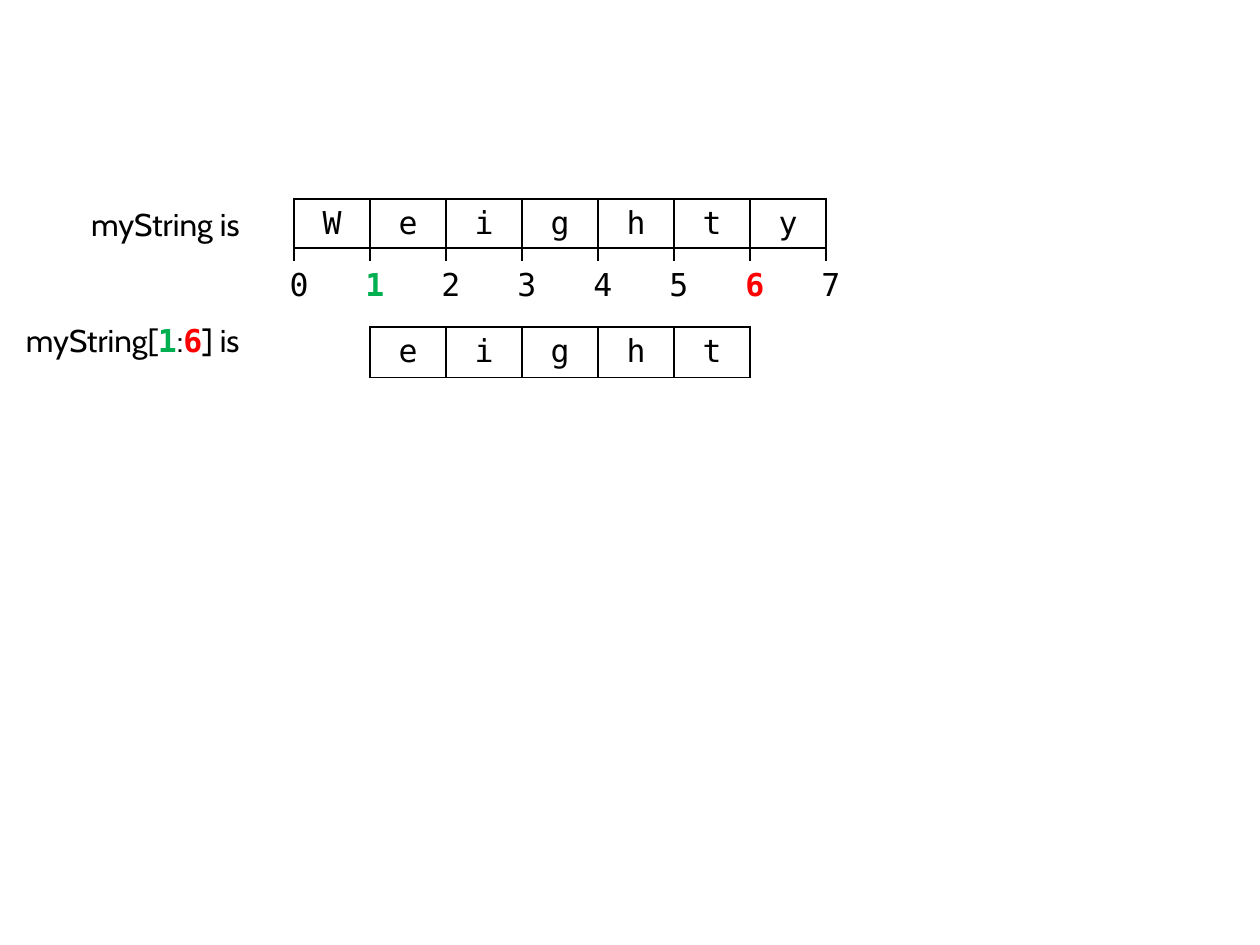
from pptx import Presentation
from pptx.dml.color import RGBColor
from pptx.enum.text import MSO_AUTO_SIZE as AUTO, PP_ALIGN as ALIGN
from pptx.oxml.ns import qn
from pptx.util import Emu, Pt
from lxml.etree import SubElement

SCALE = 914400 // 126
BLACK, GREEN, RED, WHITE = "000000", "00B050", "FF0000", "FFFFFF"
SANS, MONO = "Cabin", "DejaVu Sans Mono"


def px(n):
    """Turn picture pixels into EMU."""
    return Emu(n * SCALE)


def color(value):
    """Turn a hex string into a colour."""
    return RGBColor.from_string(value)


def add_run(p, text, font=SANS, size=18, fill=BLACK, bold=False):
    """Append formatted text to a paragraph."""
    r = p.add_run()
    r.text = text
    r.font.name, r.font.size, r.font.bold = font, Pt(size), bold
    r.font.color.rgb = color(fill)


def set_border(cell, side, shown):
    """Draw or hide one side (L, R, T or B) of a cell."""
    ln = SubElement(cell._tc.get_or_add_tcPr(), qn("a:ln" + side), w=str(Pt(1)))
    if shown:
        solid = SubElement(ln, qn("a:solidFill"))
        SubElement(solid, qn("a:srgbClr"), val=BLACK)
    else:
        SubElement(ln, qn("a:noFill"))


class StringSlide:
    """Holds the slide and the style of its strings."""

    columns, cell_width = 8, 76

    def __init__(self, prs):
        """Start on a blank slide."""
        self.s = prs.slides.add_slide(prs.slide_layouts[6])

    def label(self, x, y, w, h, runs):
        """Add a right-aligned label made of (text, format) runs."""
        tf = self.s.shapes.add_textbox(px(x), px(y), px(w), px(h)).text_frame
        tf.word_wrap, tf.auto_size = True, AUTO.SHAPE_TO_FIT_TEXT
        p = tf.paragraphs[0]
        p.alignment = ALIGN.RIGHT
        for text, fmt in runs:
            add_run(p, text, **fmt)

    def cells(self, x, y, heights, text, first=0, boxed=True, fill=None, marks=None):
        """Add a table with one character a cell, from column first on."""
        last = first + len(text)
        table = self.s.shapes.add_table(
            len(heights), self.columns, px(x), px(y),
            px(self.columns * self.cell_width), px(sum(heights))).table
        table.first_row = table.horz_banding = False
        for column in table.columns:
            column.width = px(self.cell_width)
        for i, height in enumerate(heights):
            table.rows[i].height = px(height)
            for j in range(self.columns):
                cell = table.cell(i, j)
                inside = first <= j < last
                sides = {"L": first <= j <= last, "R": first <= j + 1 <= last,
                         "T": inside, "B": inside}
                for side, shown in sides.items():
                    set_border(cell, side, boxed and shown)
                if fill:
                    cell.fill.solid()
                    cell.fill.fore_color.rgb = color(fill)
                else:
                    cell.fill.background()
                p = cell.text_frame.paragraphs[0]
                p.alignment = ALIGN.CENTER
                if i == 0 and inside:
                    char = text[j - first]
                    add_run(p, char, font=MONO, **(marks or {}).get(char, {}))
                else:
                    SubElement(p._p, qn("a:endParaRPr"), sz="1600")


prs = Presentation()
prs.slide_width, prs.slide_height = px(1260), px(945)
slide = StringSlide(prs)

start = {"fill": GREEN, "bold": True}
end = {"fill": RED, "bold": True}

slide.cells(294, 199, [49, 49], "Weighty")
slide.cells(261, 261, [59], "01234567", boxed=False, fill=WHITE,
            marks={"1": start, "6": end})
slide.label(32, 199, 220, 50, [("myString is", {})])
slide.label(0, 315, 252, 50, [
    ("myString[", {}), ("1", {"font": MONO, **start}), (":", {}),
    ("6", {"font": MONO, **end}), ("] is", {})])
slide.cells(294, 327, [50], "eight", first=1)

prs.save("out.pptx")
